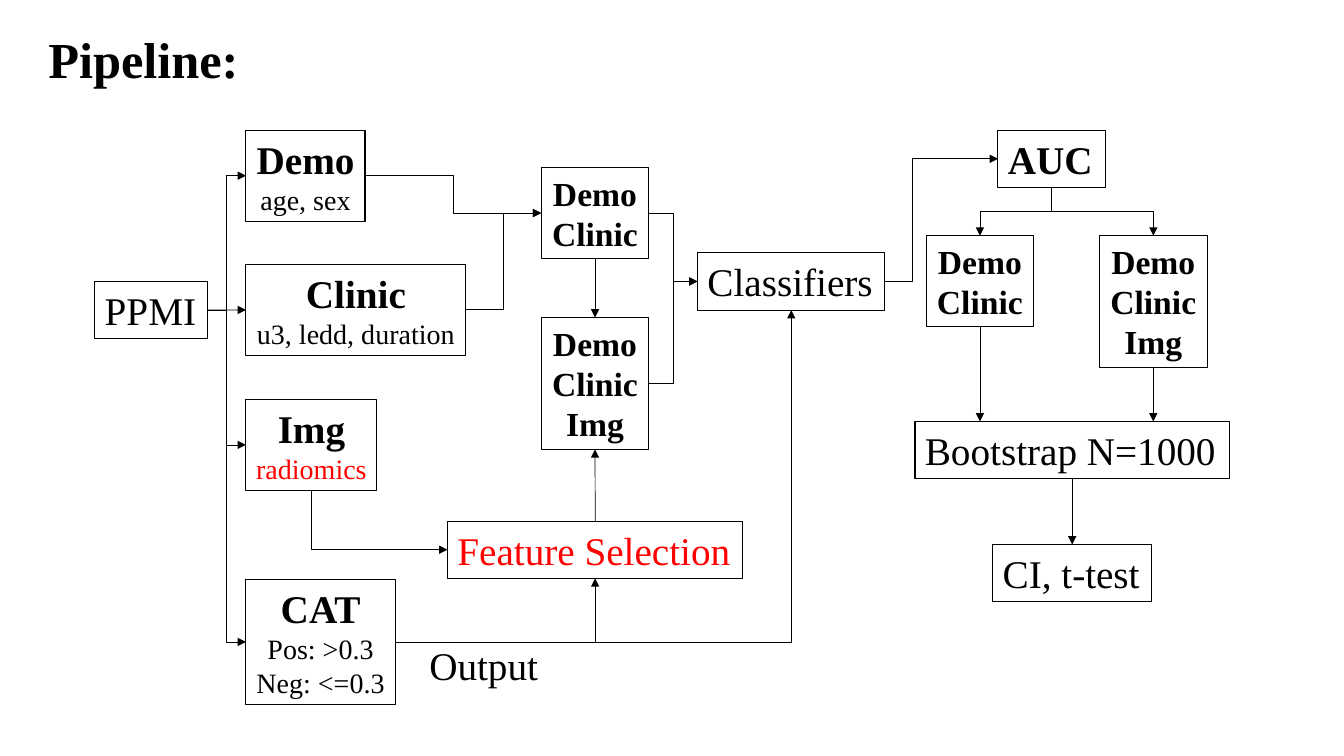
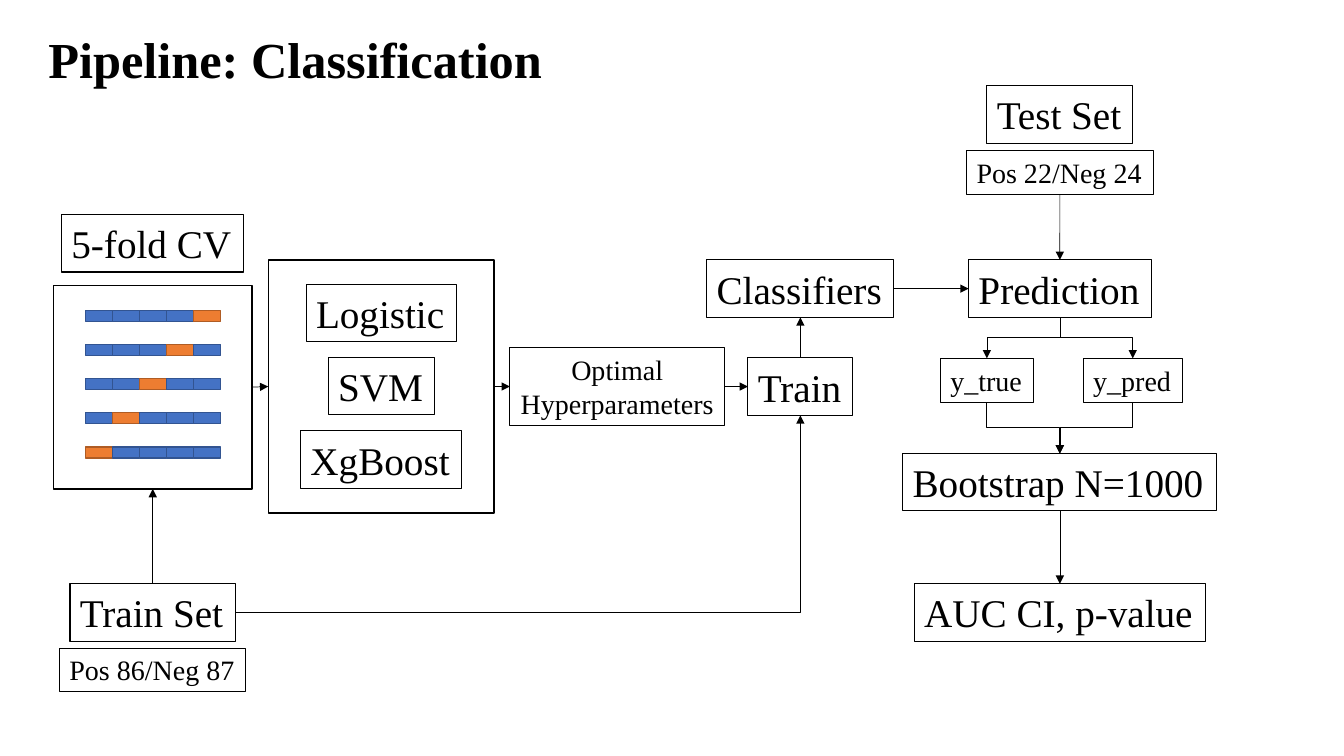
import pptx
import pptx.util
import pptx.dml.color
import pptx.enum.shapes
import pptx.enum.text
import pptx.oxml
import pptx.oxml.ns
import lxml.etree

Cm = pptx.util.Cm
Pt = pptx.util.Pt
qn = pptx.oxml.ns.qn
FONT = "Times New Roman"
BLACK, RED, WHITE = "000000", "FF0000", "FFFFFF"
BLUE, NAVY = "4472C4", "325491"
AMBER, RUST = "ED7D31", "AF5C24"
TOP, LEFT, BASE, RIGHT = range(4)


def paint(color, code):
    color.rgb = pptx.dml.color.RGBColor.from_string(code)


def label(slide, x, y, w, text, size=28, sub=None, bold=False,
          tint=BLACK, second=BLACK, edge=True):
    lines = text.split("\n")
    sizes = [size] + [sub or size] * (len(lines) - 1)
    high = Pt(sum(sizes) * 1.21) + Cm(0.25)
    box = slide.shapes.add_textbox(Cm(x), Cm(y), Cm(w), high)
    frame = box.text_frame
    frame.word_wrap = False
    frame.auto_size = pptx.enum.text.MSO_AUTO_SIZE.SHAPE_TO_FIT_TEXT
    frame.text = text
    for i, para in enumerate(frame.paragraphs):
        if len(lines) > 1:
            para.alignment = pptx.enum.text.PP_ALIGN.CENTER
        font = para.runs[0].font
        font.name = FONT
        font.size = Pt(sizes[i])
        font.bold = bold and (i == 0 or sub is None)
        paint(font.color, second if i and sub else tint)
    if edge:
        paint(box.line.color, BLACK)
        box.line.width = Pt(0.75)
    return box


def block(slide, x, y, w, h, fill=None, edge=BLACK):
    box = slide.shapes.add_shape(
        pptx.enum.shapes.MSO_SHAPE.RECTANGLE, Cm(x), Cm(y), Cm(w), Cm(h))
    box.shadow.inherit = False
    if fill:
        box.fill.solid()
        paint(box.fill.fore_color, fill)
    else:
        box.fill.background()
    paint(box.line.color, edge)
    box.line.width = Pt(1)
    return box


def stack(slide, x, w, items):
    return [label(slide, x + (w - wide) / 2, y, wide, text, size)
            for text, y, wide, size in items]


def site(box, side):
    dx, dy = ((1, 0), (0, 1), (1, 2), (2, 1))[side]
    return box.left + box.width * dx // 2, box.top + box.height * dy // 2


def arrow(slide, kind, start, end):
    line = slide.shapes.add_connector(kind, *start, *end)
    paint(line.line.color, BLACK)
    line.line.width = Pt(0.5)
    props = line._element.spPr
    tip = lxml.etree.SubElement(props.find(qn("a:ln")), qn("a:tailEnd"))
    tip.set("type", "triangle")
    lxml.etree.SubElement(props, qn("a:effectLst"))
    return line


def turn(line, start, end):
    (x1, y1), (x2, y2) = start, end
    wide, high = abs(y2 - y1), abs(x2 - x1)
    line.left, line.top = (x1 + x2 - wide) // 2, (y1 + y2 - high) // 2
    line.width, line.height = wide, high
    form = line._element.spPr.find(qn("a:xfrm"))
    for name in ("flipH", "flipV"):
        form.attrib.pop(name, None)
    if x2 > x1:
        form.set("rot", "16200000")
        form.set("flipH", "1")
    else:
        form.set("rot", "5400000")


def join(slide, a, out, b, into, bend=None):
    kinds = pptx.enum.shapes.MSO_CONNECTOR
    start, end = site(a, out), site(b, into)
    same = out % 2 == into % 2
    cross = 0 if out in (TOP, BASE) else 1
    flat = same and abs(start[cross] - end[cross]) < Cm(0.1)
    line = arrow(slide, kinds.STRAIGHT if flat else kinds.ELBOW, start, end)
    line.begin_connect(a, out)
    line.end_connect(b, into)
    if flat:
        return
    geom = line._element.spPr.find(qn("a:prstGeom"))
    if not same:
        geom.set("prst", "bentConnector2")
    if bend:
        guide = lxml.etree.SubElement(geom.find(qn("a:avLst")), qn("a:gd"))
        guide.set("name", "adj1")
        guide.set("fmla", f"val {round(bend * 100000)}")
    if out == BASE:
        turn(line, start, end)


def drop(slide, a, b):
    x, y = site(a, BASE)
    line = arrow(slide, pptx.enum.shapes.MSO_CONNECTOR.STRAIGHT,
                 (x, y), (x, b.top))
    line.begin_connect(a, BASE)


def start(deck, title, w):
    slide = deck.slides.add_slide(deck.slide_layouts[6])
    slide.background.fill.solid()
    paint(slide.background.fill.fore_color, WHITE)
    label(slide, 0.97, 0.58, w, title, 36, bold=True, edge=False)
    return slide


def inputs(slide, x, y):
    root = label(slide, x, y + 3.81, 2.84, "PPMI")
    groups = []
    for text, down, w, tint in (
            ("Demo\nage, sex", 0, 3, BLACK),
            ("Clinic\nu3, ledd, duration", 3.38, 5.54, BLACK),
            ("Img\nradiomics", 6.78, 3.3, RED),
            ("CAT\nPos: >0.3\nNeg: <=0.3", 11.32, 3.76, BLACK)):
        box = label(slide, x + 3.81, y + down, w, text, sub=20, bold=True,
                    second=tint)
        join(slide, root, RIGHT, box, LEFT)
        groups.append(box)
    label(slide, x + 8.18, y + 12.75, 3.28, "Output", edge=False)
    return groups


def sets(slide, x, y, gap, step):
    return [label(slide, x + gap * i, y + step * i, 2.71, text, 24, bold=True)
            for i, text in enumerate(("Demo\nClinic", "Demo\nClinic\nImg"))]


def models(slide, x, y, groups):
    demo, clinic, img, cat = groups
    pair, trio = sets(slide, x + 2.36, y, 0, 3.78)
    pick = label(slide, x, y + 8.91, 7.44, "Feature Selection", tint=RED)
    rank = label(slide, x + 6.3, y + 2.15, 4.72, "Classifiers")
    for a, out, b, into in (
            (demo, RIGHT, pair, LEFT), (clinic, RIGHT, pair, LEFT),
            (img, BASE, pick, LEFT), (cat, RIGHT, pick, BASE),
            (cat, RIGHT, rank, BASE), (pair, BASE, trio, TOP),
            (pick, TOP, trio, BASE), (pair, RIGHT, rank, LEFT),
            (trio, RIGHT, rank, LEFT)):
        join(slide, a, out, b, into)
    return rank


def scores(slide, x, y, rank):
    auc = label(slide, x + 2.09, y, 2.7, "AUC", bold=True)
    boot = label(slide, x, y + 7.34, 7.92, "Bootstrap N=1000")
    test = label(slide, x + 1.96, y + 10.44, 4, "CI, t-test")
    join(slide, rank, RIGHT, auc, LEFT, 0.24)
    for box in sets(slide, x + 0.28, y + 2.66, 4.37, 0):
        join(slide, auc, BASE, box, TOP)
        drop(slide, box, boot)
    join(slide, boot, BASE, test, TOP)


def folds(slide, x, y):
    count, w = 5, 5
    frame = block(slide, x, y, w, 5.13)
    for row in range(count):
        for col in range(count):
            held = row + col == count - 1
            block(slide, x + 0.81 + 0.68 * col, y + 0.63 + 0.86 * row,
                  0.68, 0.28, AMBER if held else BLUE, RUST if held else NAVY)
    head, train, size = stack(slide, x, w, (
        ("5-fold CV", y - 1.78, 4.6, 28),
        ("Train Set", y + 7.52, 4.17, 28),
        ("Pos 86/Neg 87", y + 9.14, 4.7, 20)))
    join(slide, train, TOP, frame, BASE)
    return frame, train


def tuning(slide, x, y, frame, train):
    w = 5.69
    pool = block(slide, x, y, w, 6.38)
    names = (("Logistic", 3.78), ("SVM", 2.67), ("XgBoost", 4.06))
    stack(slide, x, w, [(text, y + 0.61 + 1.85 * i, wide, 28)
                        for i, (text, wide) in enumerate(names)])
    best = label(slide, x + 6.09, y + 2.21, 5.41,
                 "Optimal\nHyperparameters", 20)
    rank, fit = stack(slide, x + 11.05, 4.72, (
        ("Classifiers", y, 4.72, 28), ("Train", y + 2.47, 2.64, 28)))
    for a, out, b, into in (
            (frame, RIGHT, pool, LEFT), (pool, RIGHT, best, LEFT),
            (best, RIGHT, fit, LEFT), (train, RIGHT, fit, BASE),
            (fit, TOP, rank, BASE)):
        join(slide, a, out, b, into)
    return rank


def testing(slide, x, y, rank):
    head, size, guess, boot, last = stack(slide, x, 7.92, (
        ("Test Set", y, 3.68, 28),
        ("Pos 22/Neg 24", y + 1.63, 4.7, 20),
        ("Prediction", y + 4.39, 4.6, 28),
        ("Bootstrap N=1000", y + 9.27, 7.92, 28),
        ("AUC CI, p-value", y + 12.55, 7.34, 28)))
    join(slide, size, BASE, guess, TOP)
    join(slide, rank, RIGHT, guess, LEFT)
    for text, shift, w in (("y_true", 0.95, 2.34), ("y_pred", 4.55, 2.49)):
        box = label(slide, x + shift, y + 6.87, w, text, 20)
        join(slide, guess, BASE, box, TOP)
        join(slide, box, BASE, boot, TOP)
    join(slide, boot, BASE, last, TOP)


def main():
    deck = pptx.Presentation()
    deck.slide_width, deck.slide_height = Cm(33.87), Cm(19.05)
    slide = start(deck, "Pipeline:", 5.36)
    groups = inputs(slide, 2.39, 3.28)
    rank = models(slide, 11.28, 4.22, groups)
    scores(slide, 23.06, 3.28, rank)
    slide = start(deck, "Pipeline: Classification", 13.08)
    frame, train = folds(slide, 1.35, 7.19)
    rank = tuning(slide, 6.76, 6.55, frame, train)
    testing(slide, 22.75, 2.16, rank)
    deck.save("out.pptx")


if __name__ == "__main__":
    main()
